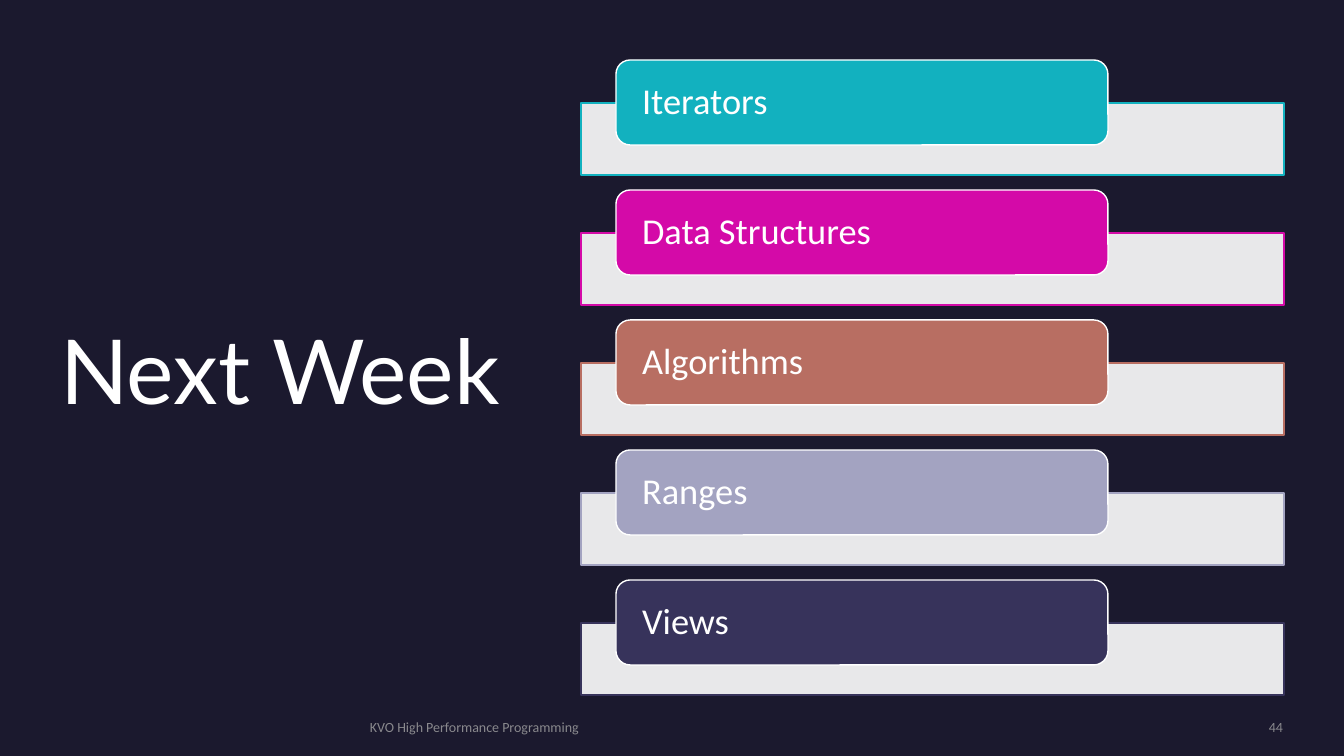
"""Build the "Next Week" slide with its five topic bars."""
from pptx import Presentation
from pptx.dml.color import RGBColor
from pptx.enum.shapes import MSO_SHAPE
from pptx.enum.text import MSO_ANCHOR, MSO_AUTO_SIZE, PP_ALIGN
from pptx.oxml.ns import qn
from pptx.oxml.xmlchemy import OxmlElement
from pptx.util import Pt

PX = 914400 / 100.8
NIGHT = RGBColor(0x1B, 0x19, 0x2E)
WHITE = RGBColor(0xFF, 0xFF, 0xFF)
GREY = RGBColor(0xA6, 0xA6, 0xA6)
TEAL = RGBColor(0x12, 0xB1, 0xBF)
MAGENTA = RGBColor(0xD4, 0x0A, 0xA8)
CLAY = RGBColor(0xB8, 0x6E, 0x62)
LAVENDER = RGBColor(0xA3, 0xA3, 0xC1)
INDIGO = RGBColor(0x37, 0x33, 0x5B)

TOPICS = [
    ("Iterators", TEAL),
    ("Data Structures", MAGENTA),
    ("Algorithms", CLAY),
    ("Ranges", LAVENDER),
    ("Views", INDIGO),
]
FIRST_TOP = 60
ROW_PITCH = 130
BAR_DROP = 43


def write(shape, text, size, font="Calibri", color=WHITE, align=PP_ALIGN.LEFT,
          inset=0, line_spacing=1.0, opacity=100):
    """Put one formatted paragraph into a shape."""
    frame = shape.text_frame
    frame.auto_size = MSO_AUTO_SIZE.NONE
    frame.word_wrap = True
    frame.vertical_anchor = MSO_ANCHOR.MIDDLE
    frame.margin_left = frame.margin_right = round(inset * PX)
    frame.margin_top = frame.margin_bottom = 0
    paragraph = frame.paragraphs[0]
    paragraph.alignment = align
    paragraph.line_spacing = line_spacing
    run = paragraph.add_run()
    run.text = text
    run.font.name = font
    run.font.size = Pt(size)
    run.font.color.rgb = color
    if opacity < 100:
        fade(run._r, opacity)


def fade(element, opacity):
    """Make the first colour inside an element partly transparent."""
    alpha = OxmlElement("a:alpha")
    alpha.set("val", str(opacity * 1000))
    next(element.iter(qn("a:srgbClr"))).append(alpha)


presentation = Presentation()
presentation.slide_width = round(1344 * PX)
presentation.slide_height = round(756 * PX)
slide = presentation.slides.add_slide(presentation.slide_layouts[5])
slide.background.fill.solid()
slide.background.fill.fore_color.rgb = NIGHT

title = slide.shapes.title
title.left, title.top, title.width, title.height = [
    round(length * PX) for length in (60, 167, 500, 416)]
write(title, "Next Week", 64, font="Lato", line_spacing=0.9)

for left, width, text, align in [
    (370, 704, "KVO High Performance Programming", PP_ALIGN.LEFT),
    (1097, 186, "44", PP_ALIGN.RIGHT),
]:
    footer = slide.shapes.add_textbox(
        *[round(length * PX) for length in (left, 718, width, 17)])
    write(footer, text, 10, color=GREY, align=align, opacity=80)

for row, (topic, color) in enumerate(TOPICS):
    top = FIRST_TOP + row * ROW_PITCH
    for preset, box, fill_color, line_color in [
        (MSO_SHAPE.RECTANGLE, (581, top + BAR_DROP, 703, 72), WHITE, color),
        (MSO_SHAPE.ROUNDED_RECTANGLE, (616, top, 492, 85), color, WHITE),
    ]:
        shape = slide.shapes.add_shape(
            preset, *[round(length * PX) for length in box])
        shape.shadow.inherit = False
        shape.fill.solid()
        shape.fill.fore_color.rgb = fill_color
        shape.line.color.rgb = line_color
        shape.line.width = Pt(1)
        if preset == MSO_SHAPE.RECTANGLE:
            fade(shape._element, 90)
        else:
            write(shape, topic, 26, inset=22, line_spacing=0.9)

presentation.save("out.pptx")
